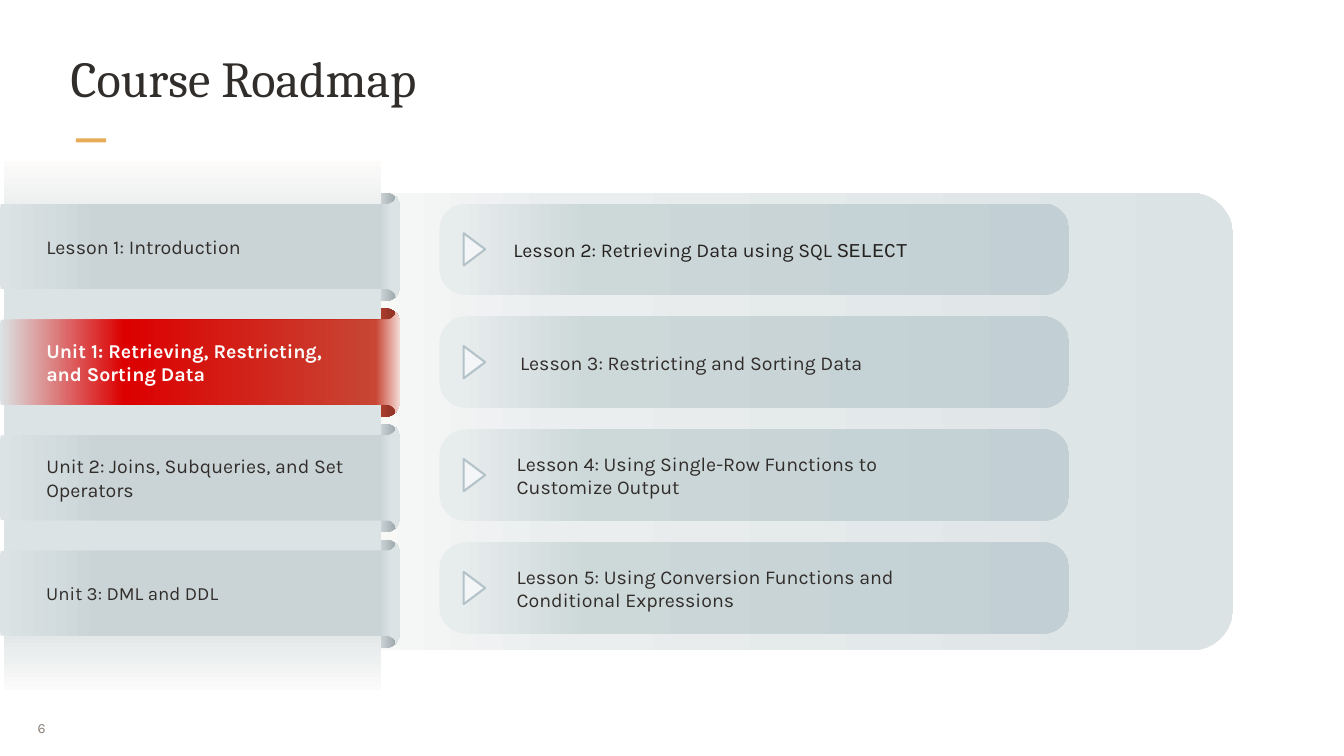
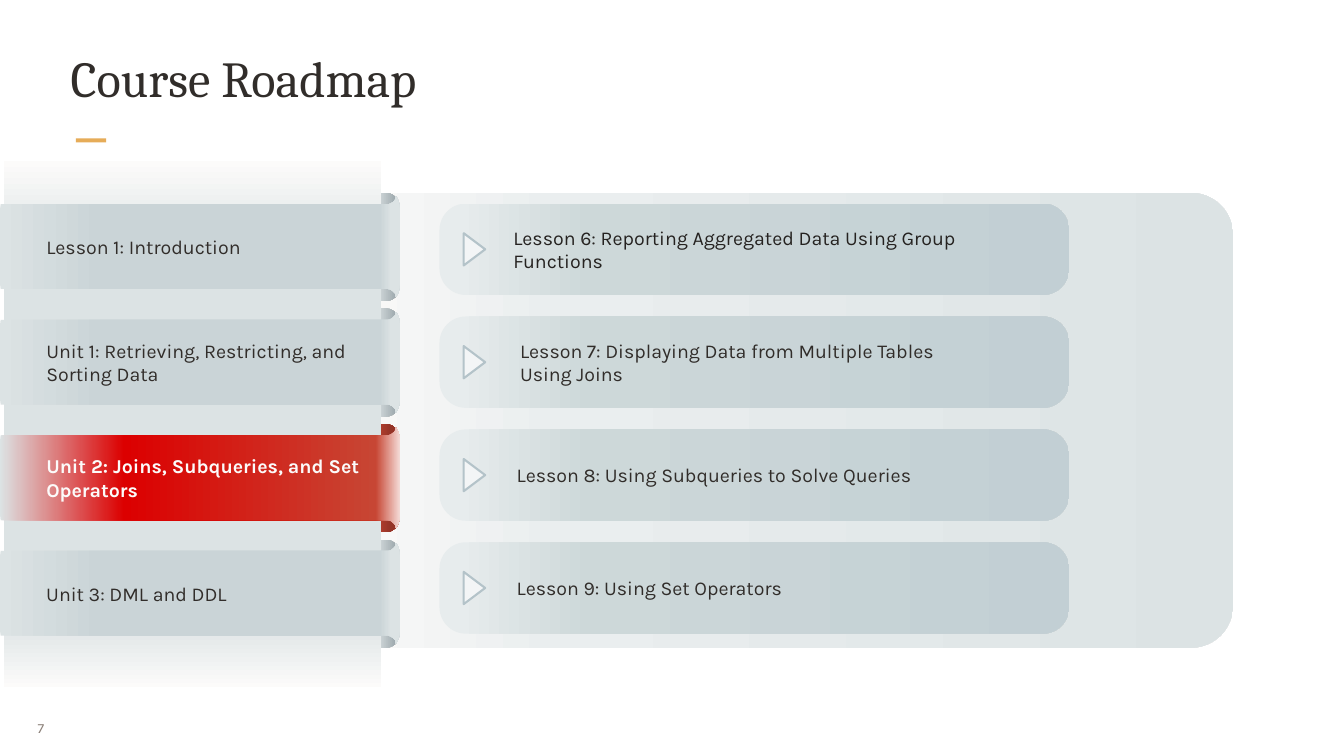
"""Build two course roadmap slides with unit ribbons and lesson cards."""
from lxml import etree
from pptx import Presentation
from pptx.dml.color import RGBColor
from pptx.enum.shapes import MSO_SHAPE
from pptx.enum.text import MSO_ANCHOR, MSO_AUTO_SIZE, PP_ALIGN
from pptx.oxml.ns import qn
from pptx.util import Inches, Pt

RECTANGLE, ROUNDED = MSO_SHAPE.RECTANGLE, MSO_SHAPE.ROUNDED_RECTANGLE
TRIANGLE = MSO_SHAPE.ISOSCELES_TRIANGLE
TOP, MIDDLE = MSO_ANCHOR.TOP, MSO_ANCHOR.MIDDLE
NO_FIT, GROW = MSO_AUTO_SIZE.NONE, MSO_AUTO_SIZE.SHAPE_TO_FIT_TEXT
LEFT, JUSTIFY = PP_ALIGN.LEFT, PP_ALIGN.JUSTIFY

INK = RGBColor(0x31, 0x2D, 0x2A)
DARK_INK = RGBColor(0x25, 0x22, 0x20)
PAPER = RGBColor(0xFC, 0xFB, 0xFA)
AMBER = RGBColor(0xE6, 0xAC, 0x58)
TAUPE = RGBColor(0x8B, 0x80, 0x78)
MIST = RGBColor(0xDC, 0xE3, 0xE4)
SLATE = RGBColor(0xCA, 0xD4, 0xD7)
BRICK = RGBColor(0xC7, 0x46, 0x34)
ARROW_FILL = RGBColor(0xF3, 0xF5, 0xF6)
ARROW_LINE = RGBColor(0xB4, 0xC3, 0xC9)

PANEL_STOPS = [(0, PAPER), (26, RGBColor(0xEA, 0xEE, 0xEF)), (100, MIST)]
CARD_STOPS = [(3, RGBColor(0xE7, 0xEC, 0xED)), (24, RGBColor(0xCD, 0xD8, 0xD9)),
              (100, RGBColor(0xC2, 0xCF, 0xD4))]
COLUMN_STOPS = [(0, PAPER), (17, MIST), (87, MIST), (100, PAPER)]
ROLL_STOPS = [(77, RGBColor(0xDE, 0xE4, 0xE5)), (99, RGBColor(0x96, 0xA2, 0xA7))]
ACTIVE_ROLL_STOPS = [(73, BRICK), (92, RGBColor(0x95, 0x34, 0x27))]
RIBBON_STOPS = [(0, MIST), (25, SLATE), (95, SLATE), (98, MIST)]
ACTIVE_RIBBON_STOPS = [(0, MIST), (31, RGBColor(0xDC, 0x00, 0x00)), (94, BRICK),
                       (100, RGBColor(0xF4, 0xDA, 0xD6))]

HEADING_FONT, BODY_FONT, CODE_FONT = "Cambria", "Karla", "Courier New"
TITLE = "Course Roadmap"

UNITS = [
    ("Lesson 1: Introduction", 1, 3.99),
    ("Unit 1: Retrieving, Restricting, and Sorting Data", 2, 4.81),
    ("Unit 2: Joins, Subqueries, and Set Operators", 2, 4.89),
    ("Unit 3: DML and DDL", 1, 3.63),
]
LESSON_SLOTS = [(7.54, 7.37, DARK_INK), (7.64, 6.7, INK), (7.59, 6.7, INK), (7.59, 6.7, INK)]
ROADMAPS = [
    {"page": "6", "active": 1, "panel_height": 6.81, "last_unit_size": 20, "lessons": [
        (["Lesson 2: Retrieving Data using SQL ", "SELECT"], 1),
        (["Lesson 3: Restricting and Sorting Data"], 1),
        (["Lesson 4: Using Single-Row Functions to Customize Output"], 2),
        (["Lesson 5: Using Conversion Functions and Conditional Expressions"], 2)]},
    {"page": "7", "active": 2, "panel_height": 6.77, "last_unit_size": 21, "lessons": [
        (["Lesson 6: Reporting Aggregated Data Using Group Functions"], 2),
        (["Lesson 7: Displaying Data from Multiple Tables Using Joins"], 2),
        (["Lesson 8: Using Subqueries to Solve Queries"], 1),
        (["Lesson 9: Using Set Operators"], 1)]},
]

UNIT_PITCH, ROLL_TOP, RIBBON_TOP, RIBBON_HEIGHT = 1.72, 2.87, 2.92, 1.5
LESSON_PITCH, CARD_TOP, CARD_HEIGHT = 1.68, 3.03, 1.36
ARROW_TOP = 3.55
LINE_HEIGHT, BOX_PADDING = 0.36, 0.09
CURVE_STEPS = 8


def box(left, top, width, height):
    return Inches(left), Inches(top), Inches(width), Inches(height)


def paint_gradient(shape, stops, angle=0):
    shape.shadow.inherit = False
    shape.line.fill.background()
    shape.fill.gradient()
    shape.fill.gradient_angle = (360 - angle) % 360
    stop_list = next(shape._element.iter(qn("a:gsLst")))
    for old_stop in list(stop_list):
        stop_list.remove(old_stop)
    for position, color in stops:
        stop = etree.SubElement(stop_list, qn("a:gs"), pos=str(position * 1000))
        etree.SubElement(stop, qn("a:srgbClr"), val=str(color))


def add_gradient_shape(slide, kind, bounds, stops, corner=None, angle=0):
    shape = slide.shapes.add_shape(kind, *box(*bounds))
    if corner is not None:
        shape.adjustments[0] = corner
    paint_gradient(shape, stops, angle)


def style(paragraph, size, color, name=BODY_FONT, bold=False):
    font = paragraph.font
    font.size, font.name, font.bold = Pt(size), name, bold
    font.color.rgb = color


def add_label(slide, runs, lines, left, center, width, color, size=21, bold=False):
    height = LINE_HEIGHT * lines + BOX_PADDING
    label = slide.shapes.add_textbox(*box(left, center - height / 2, width, height))
    frame = label.text_frame
    frame.word_wrap, frame.auto_size, frame.vertical_anchor = True, GROW, MIDDLE
    paragraph = frame.paragraphs[0]
    style(paragraph, size, color, bold=bold)
    for position, text in enumerate(runs):
        run = paragraph.add_run()
        run.text = text
        if position:
            run.font.name = CODE_FONT


def curve(*controls):
    points = []
    for step in range(CURVE_STEPS + 1):
        t = step / CURVE_STEPS
        weights = ((1 - t) ** 3, 3 * t * (1 - t) ** 2, 3 * t ** 2 * (1 - t), t ** 3)
        points.append(tuple(sum(w * c[axis] for w, c in zip(weights, controls))
                            for axis in (0, 1)))
    return points


def ribbon_outline(top):
    upper = [(0, 0.2), (0.01, 0.12),
             *curve((5.76, 0.12), (5.81, 0.12), (5.85, 0.09), (5.88, 0.05)),
             *curve((5.89, 0), (5.93, 0.05), (5.95, 0.12), (5.95, 0.2))]
    lower = [(x, RIBBON_HEIGHT - y) for x, y in reversed(upper)]
    return [(Inches(x), Inches(top + y)) for x, y in upper + lower]


def add_ribbon(slide, top, stops):
    start, *rest = ribbon_outline(top)
    builder = slide.shapes.build_freeform(*start, scale=1.0)
    builder.add_line_segments(rest, close=True)
    paint_gradient(builder.convert_to_shape(), stops)


def add_heading(slide, page):
    title = slide.shapes.title
    title.left, title.top, title.width, title.height = box(1.02, 0.67, 17.96, 1.28)
    frame = title.text_frame
    frame.text = TITLE
    frame.auto_size, frame.vertical_anchor = NO_FIT, TOP
    frame.margin_left = frame.margin_right = Inches(0.03)
    frame.margin_top = frame.margin_bottom = Inches(0.03)
    frame.paragraphs[0].alignment = LEFT
    style(frame.paragraphs[0], 54, INK, HEADING_FONT)

    accent = slide.shapes.add_shape(RECTANGLE, *box(1.13, 2.06, 0.45, 0.06))
    accent.shadow.inherit = False
    accent.fill.solid()
    accent.fill.fore_color.rgb = AMBER
    accent.line.fill.background()

    frame = slide.shapes.add_textbox(*box(0.43, 10.54, 0.65, 0.58)).text_frame
    frame.text = page
    frame.word_wrap, frame.vertical_anchor = False, MIDDLE
    frame.margin_left = frame.margin_right = Inches(0.13)
    frame.margin_top = frame.margin_bottom = Inches(0.07)
    frame.paragraphs[0].alignment = JUSTIFY
    style(frame.paragraphs[0], 15, TAUPE)


def add_lessons(slide, roadmap):
    add_gradient_shape(slide, ROUNDED, (4.73, 2.87, 13.62, roadmap["panel_height"]),
                       PANEL_STOPS, 0.093)
    for row, (runs, lines) in enumerate(roadmap["lessons"]):
        offset = row * LESSON_PITCH
        card_top = CARD_TOP + offset
        add_gradient_shape(slide, ROUNDED, (6.54, card_top, 9.37, CARD_HEIGHT),
                           CARD_STOPS, 0.289)
        left, width, color = LESSON_SLOTS[row]
        add_label(slide, runs, lines, left, card_top + CARD_HEIGHT / 2, width, color)
        arrow = slide.shapes.add_shape(TRIANGLE, *box(6.82, ARROW_TOP + offset, 0.48, 0.32))
        arrow.rotation = 90
        arrow.shadow.inherit = False
        arrow.fill.solid()
        arrow.fill.fore_color.rgb = ARROW_FILL
        arrow.line.color.rgb = ARROW_LINE
        arrow.line.width = Pt(2.25)


def add_units(slide, roadmap):
    active = roadmap["active"]
    for row in range(len(UNITS)):
        add_gradient_shape(slide, ROUNDED, (4.36, ROLL_TOP + row * UNIT_PITCH, 1.58, 1.61),
                           ACTIVE_ROLL_STOPS if row == active else ROLL_STOPS, 0.126)
    add_gradient_shape(slide, RECTANGLE, (0.06, 2.4, 5.61, roadmap["panel_height"] + 1.06),
                       COLUMN_STOPS, angle=90)
    for row, (text, lines, width) in enumerate(UNITS):
        top = RIBBON_TOP + row * UNIT_PITCH
        is_active = row == active
        add_ribbon(slide, top, ACTIVE_RIBBON_STOPS if is_active else RIBBON_STOPS)
        size = roadmap["last_unit_size"] if row == len(UNITS) - 1 else 21
        add_label(slide, [text], lines, 0.59, top + RIBBON_HEIGHT / 2, width,
                  PAPER if is_active else INK, size, is_active)


def main():
    deck = Presentation()
    deck.slide_width, deck.slide_height = Inches(20), Inches(11.25)
    title_only = deck.slide_layouts.get_by_name("Title Only")
    for roadmap in ROADMAPS:
        slide = deck.slides.add_slide(title_only)
        add_heading(slide, roadmap["page"])
        add_lessons(slide, roadmap)
        add_units(slide, roadmap)
    deck.save("out.pptx")


if __name__ == "__main__":
    main()
